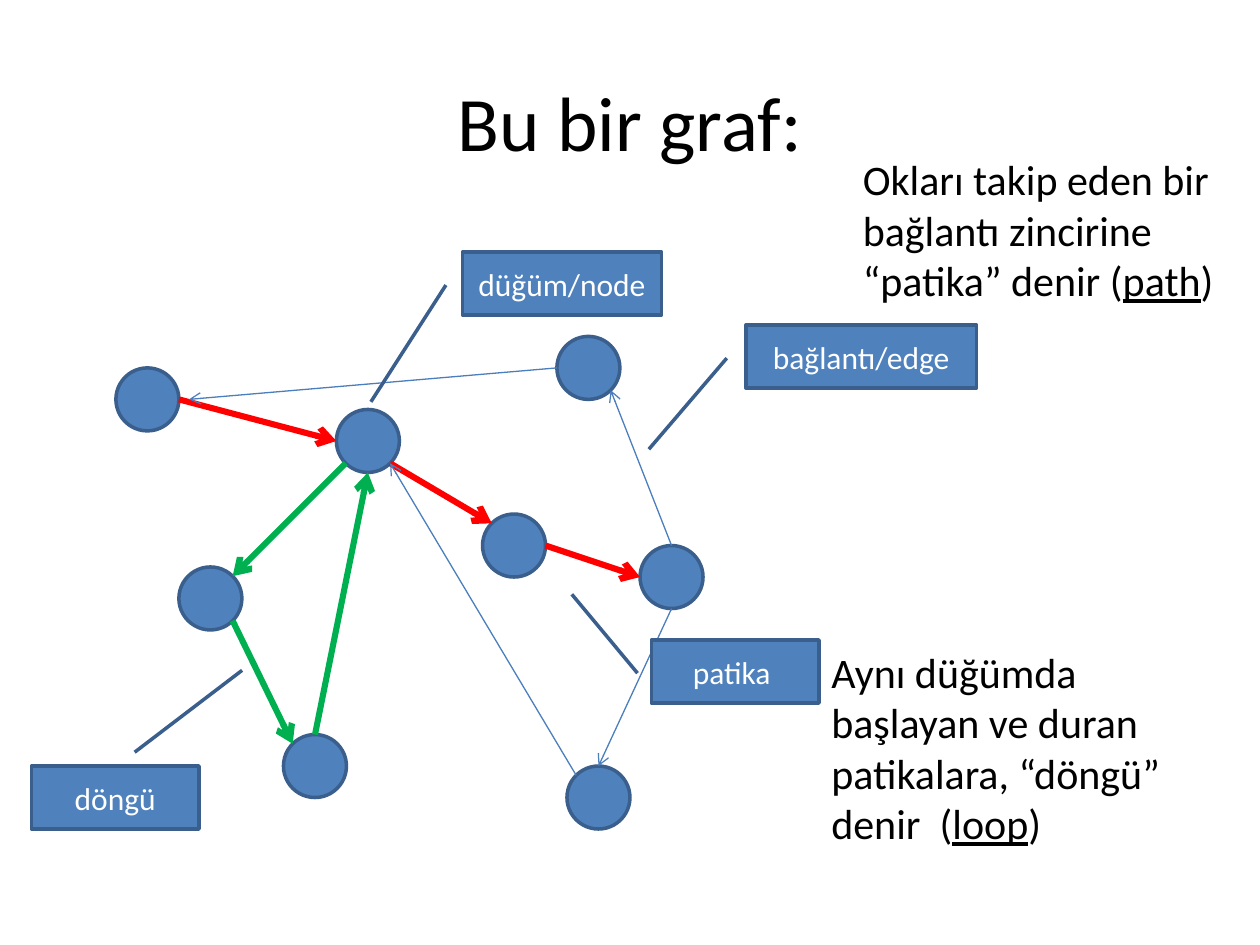
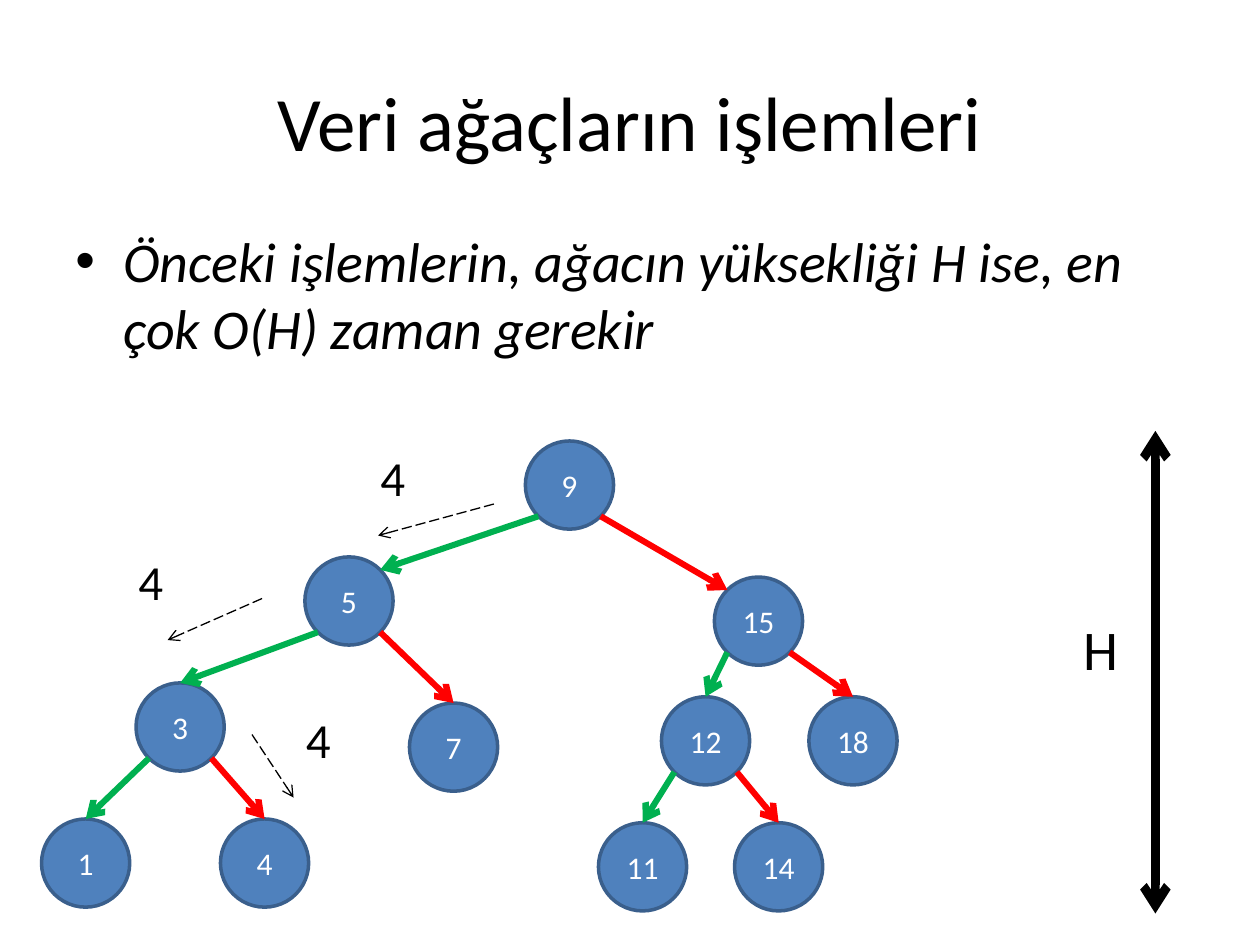
from dataclasses import dataclass
from enum import Enum
from math import sqrt
from typing import NamedTuple, Optional

from lxml import etree
from pptx import Presentation
from pptx.dml.color import RGBColor
from pptx.enum import dml, shapes, text as text_enum
from pptx.oxml import ns
from pptx.util import Inches, Pt

FONT = "Calibri"
BLACK = RGBColor(0x00, 0x00, 0x00)
WHITE = RGBColor(0xFF, 0xFF, 0xFF)
BLUE = RGBColor(0x4F, 0x81, 0xBD)
DARK_BLUE = RGBColor(0x3A, 0x5F, 0x8C)
EDGE_BLUE = RGBColor(0x4B, 0x7E, 0xBC)
RED = RGBColor(0xFF, 0x00, 0x00)
GREEN = RGBColor(0x00, 0xB0, 0x50)

GRAPH_NODE_SIZE = 0.5
TREE_NODE_SIZE = 0.7
NEAR = 0.5 - sqrt(2) / 4
FAR = 1 - NEAR


class Point(NamedTuple):
    x: float
    y: float


class Box(NamedTuple):
    left: float
    top: float
    width: float
    height: float


class Site(Enum):
    TOP = Point(0.5, 0)
    TOP_LEFT = Point(NEAR, NEAR)
    LEFT = Point(0, 0.5)
    BOTTOM_LEFT = Point(NEAR, FAR)
    BOTTOM = Point(0.5, 1)
    BOTTOM_RIGHT = Point(FAR, FAR)
    RIGHT = Point(1, 0.5)
    TOP_RIGHT = Point(FAR, NEAR)


@dataclass(frozen=True)
class LineStyle:
    color: RGBColor
    width: float
    dashed: bool = False
    double: bool = False


@dataclass(frozen=True)
class Edge:
    source: str
    source_site: Site
    target: str
    target_site: Site
    style: LineStyle


@dataclass(frozen=True)
class Callout:
    label: str
    box: Box
    adjustments: tuple


@dataclass(frozen=True)
class Note:
    content: str
    box: Box
    size: int
    underlined: str = ""


@dataclass(frozen=True)
class Node:
    shape: object
    box: Box

    def point(self, site: Site) -> Point:
        return Point(self.box.left + site.value.x * self.box.width,
                     self.box.top + site.value.y * self.box.height)


RED_ARROW = LineStyle(RED, 3.5)
GREEN_ARROW = LineStyle(GREEN, 3.5)
THIN_ARROW = LineStyle(EDGE_BLUE, 0.75)
STEP_ARROW = LineStyle(BLACK, 0.75, dashed=True)
HEIGHT_ARROW = LineStyle(BLACK, 5, double=True)

GRAPH_NODES = {
    "start": Point(0.92, 2.92), "hub": Point(2.67, 3.25),
    "loop left": Point(1.42, 4.5), "middle": Point(3.83, 4.08),
    "upper": Point(4.42, 2.67), "right": Point(5.08, 4.33),
    "loop bottom": Point(2.25, 5.83), "lower": Point(4.5, 6.08),
}
GRAPH_EDGES = [
    Edge("start", Site.RIGHT, "hub", Site.LEFT, RED_ARROW),
    Edge("hub", Site.BOTTOM_RIGHT, "middle", Site.TOP_LEFT, RED_ARROW),
    Edge("hub", Site.BOTTOM_LEFT, "loop left", Site.TOP_RIGHT, GREEN_ARROW),
    Edge("loop bottom", Site.TOP, "hub", Site.BOTTOM, GREEN_ARROW),
    Edge("loop left", Site.BOTTOM_RIGHT, "loop bottom", Site.TOP_LEFT, GREEN_ARROW),
    Edge("middle", Site.RIGHT, "right", Site.LEFT, RED_ARROW),
    Edge("right", Site.TOP, "upper", Site.BOTTOM_RIGHT, THIN_ARROW),
    Edge("right", Site.BOTTOM, "lower", Site.TOP, THIN_ARROW),
    Edge("lower", Site.TOP_LEFT, "hub", Site.BOTTOM_RIGHT, THIN_ARROW),
]
GRAPH_CALLOUTS = [
    Callout("düğüm/node", Box(3.67, 2, 1.58, 0.5), (0.526, -0.083, 2.379, -0.46)),
    Callout("bağlantı/edge", Box(5.92, 2.58, 1.83, 0.5), (0.526, -0.083, 1.972, -0.421)),
    Callout("patika ", Box(5.17, 5.08, 1.33, 0.5), (0.526, -0.083, -0.726, -0.475)),
    Callout("döngü", Box(0.25, 6.08, 1.33, 0.5), (-0.219, 0.616, -1.519, 1.257)),
]
GRAPH_NOTES = [
    Note("Okları takip eden bir bağlantı zincirine “patika” denir (path)",
         Box(6.75, 1.17, 3.17, 1.31), 24, "path"),
    Note("Aynı düğümda başlayan ve duran patikalara, “döngü” denir  (loop)",
         Box(6.5, 5.08, 3.17, 1.72), 24, "loop"),
]

TREE_NODES = {
    "9": Point(4.17, 3.5), "5": Point(2.42, 4.42), "3": Point(1.08, 5.42),
    "15": Point(5.67, 4.58), "18": Point(6.42, 5.53), "12": Point(5.25, 5.53),
    "7": Point(3.25, 5.58), "4": Point(1.75, 6.5), "1": Point(0.33, 6.5),
    "14": Point(5.83, 6.53), "11": Point(4.75, 6.53),
}
TREE_CHILDREN = {"9": ("5", "15"), "5": ("3", "7"), "15": ("12", "18"),
                 "3": ("1", "4"), "12": ("11", "14")}
TREE_STEPS = [
    (Point(3.92, 4), Point(3, 4.25)),
    (Point(2.08, 4.75), Point(1.33, 5.08)),
    (Point(2, 5.83), Point(2.33, 6.33)),
]
TREE_NOTES = [
    Note("4", Box(2.92, 3.5, 1.25, 0.58), 28),
    Note("4", Box(1, 4.33, 0.58, 0.58), 28),
    Note("4", Box(2.33, 5.58, 0.58, 0.58), 28),
    Note("H", Box(8.5, 4.83, 0.92, 0.64), 32),
]


def write_text(shape, content: str, *, size: int, color: RGBColor = BLACK,
               centered: bool = False, middle: bool = False, italic: bool = False,
               bullet: bool = False, underlined: str = "") -> None:
    frame = shape.text_frame
    frame.word_wrap = True
    frame.vertical_anchor = (text_enum.MSO_ANCHOR.MIDDLE if middle
                             else text_enum.MSO_ANCHOR.TOP)
    paragraph = frame.paragraphs[0]
    paragraph.alignment = (text_enum.PP_ALIGN.CENTER if centered
                           else text_enum.PP_ALIGN.LEFT)
    if bullet:
        properties = paragraph._p.get_or_add_pPr()
        properties.set("marL", str(Inches(0.38)))
        properties.set("indent", str(-Inches(0.38)))
        etree.SubElement(properties, ns.qn("a:buFont"), typeface="Arial")
        etree.SubElement(properties, ns.qn("a:buChar"), char="•")
    parts = content.partition(underlined) if underlined else (content,)
    for part in filter(None, parts):
        run = paragraph.add_run()
        run.text = part
        run.font.name = FONT
        run.font.size = Pt(size)
        run.font.color.rgb = color
        run.font.italic = italic
        run.font.underline = part == underlined


def add_text(slide, content: str, box: Box, **text_format) -> None:
    shape = slide.shapes.add_textbox(*map(Inches, box))
    write_text(shape, content, **text_format)


def add_blue_shape(slide, kind, box: Box, label: str = ""):
    shape = slide.shapes.add_shape(kind, *map(Inches, box))
    shape.shadow.inherit = False
    shape.fill.solid()
    shape.fill.fore_color.rgb = BLUE
    shape.line.color.rgb = DARK_BLUE
    shape.line.width = Pt(2)
    if label:
        write_text(shape, label, size=18, color=WHITE, centered=True, middle=True)
    return shape


def add_node(slide, corner: Point, size: float, label: str = "") -> Node:
    box = Box(corner.x, corner.y, size, size)
    kind = shapes.MSO_SHAPE.FLOWCHART_CONNECTOR
    return Node(add_blue_shape(slide, kind, box, label), box)


def add_arrow(slide, start: Point, end: Point, style: LineStyle):
    connector = slide.shapes.add_connector(
        shapes.MSO_CONNECTOR.STRAIGHT, *map(Inches, (*start, *end)))
    line = connector.line
    line.color.rgb = style.color
    line.width = Pt(style.width)
    if style.dashed:
        line.dash_style = dml.MSO_LINE.LONG_DASH
    properties = connector._element.spPr
    outline = properties.find(ns.qn("a:ln"))
    for tag in ("a:headEnd", "a:tailEnd") if style.double else ("a:tailEnd",):
        etree.SubElement(outline, ns.qn(tag), type="arrow")
    etree.SubElement(properties, ns.qn("a:effectLst"))
    return connector


def add_edge(slide, nodes: dict[str, Node], edge: Edge) -> None:
    source, target = nodes[edge.source], nodes[edge.target]
    connector = add_arrow(slide, source.point(edge.source_site),
                          target.point(edge.target_site), edge.style)
    if edge.source_site is Site.TOP:
        connector.begin_connect(source.shape, 0)
    if edge.target_site is Site.TOP:
        connector.end_connect(target.shape, 0)


def add_callout(slide, callout: Callout) -> None:
    shape = add_blue_shape(slide, shapes.MSO_SHAPE.LINE_CALLOUT_1,
                           callout.box, callout.label)
    for index, value in enumerate(callout.adjustments):
        shape.adjustments[index] = value


def add_notes(slide, notes: list[Note]) -> None:
    for note in notes:
        add_text(slide, note.content, note.box, size=note.size,
                 underlined=note.underlined)


def add_titled_slide(presentation, title: str):
    slide = presentation.slides.add_slide(presentation.slide_layouts[6])
    add_text(slide, title, Box(0.5, 0.33, 9, 1.25), size=44, centered=True, middle=True)
    return slide


def child_site(parent: str, on_left: bool) -> Optional[Site]:
    if parent != "9":
        return Site.TOP
    return Site.TOP_RIGHT if on_left else Site.TOP_LEFT


def build_graph_slide(presentation) -> None:
    slide = add_titled_slide(presentation, "Bu bir graf:")
    nodes = {name: add_node(slide, corner, GRAPH_NODE_SIZE)
             for name, corner in GRAPH_NODES.items()}
    for edge in GRAPH_EDGES:
        add_edge(slide, nodes, edge)
    add_arrow(slide, nodes["upper"].point(Site.LEFT), Point(1.5, 3.17), THIN_ARROW)
    for callout in GRAPH_CALLOUTS:
        add_callout(slide, callout)
    add_notes(slide, GRAPH_NOTES)


def build_tree_slide(presentation) -> None:
    slide = add_titled_slide(presentation, "Veri ağaçların işlemleri")
    add_text(slide, "Önceki işlemlerin, ağacın yüksekliği H ise, en çok O(H) zaman gerekir",
             Box(0.5, 1.75, 9, 1.58), size=32, italic=True, bullet=True)
    nodes = {label: add_node(slide, corner, TREE_NODE_SIZE, label)
             for label, corner in TREE_NODES.items()}
    for parent, (left, right) in TREE_CHILDREN.items():
        add_edge(slide, nodes, Edge(parent, Site.BOTTOM_LEFT, left,
                                    child_site(parent, True), GREEN_ARROW))
        add_edge(slide, nodes, Edge(parent, Site.BOTTOM_RIGHT, right,
                                    child_site(parent, False), RED_ARROW))
    for start, end in TREE_STEPS:
        add_arrow(slide, start, end, STEP_ARROW)
    add_arrow(slide, Point(9.17, 3.42), Point(9.17, 7.25), HEIGHT_ARROW)
    add_notes(slide, TREE_NOTES)


def main() -> None:
    presentation = Presentation()
    presentation.slide_width = Inches(10)
    presentation.slide_height = Inches(7.5)
    build_graph_slide(presentation)
    build_tree_slide(presentation)
    presentation.save("out.pptx")


if __name__ == "__main__":
    main()
